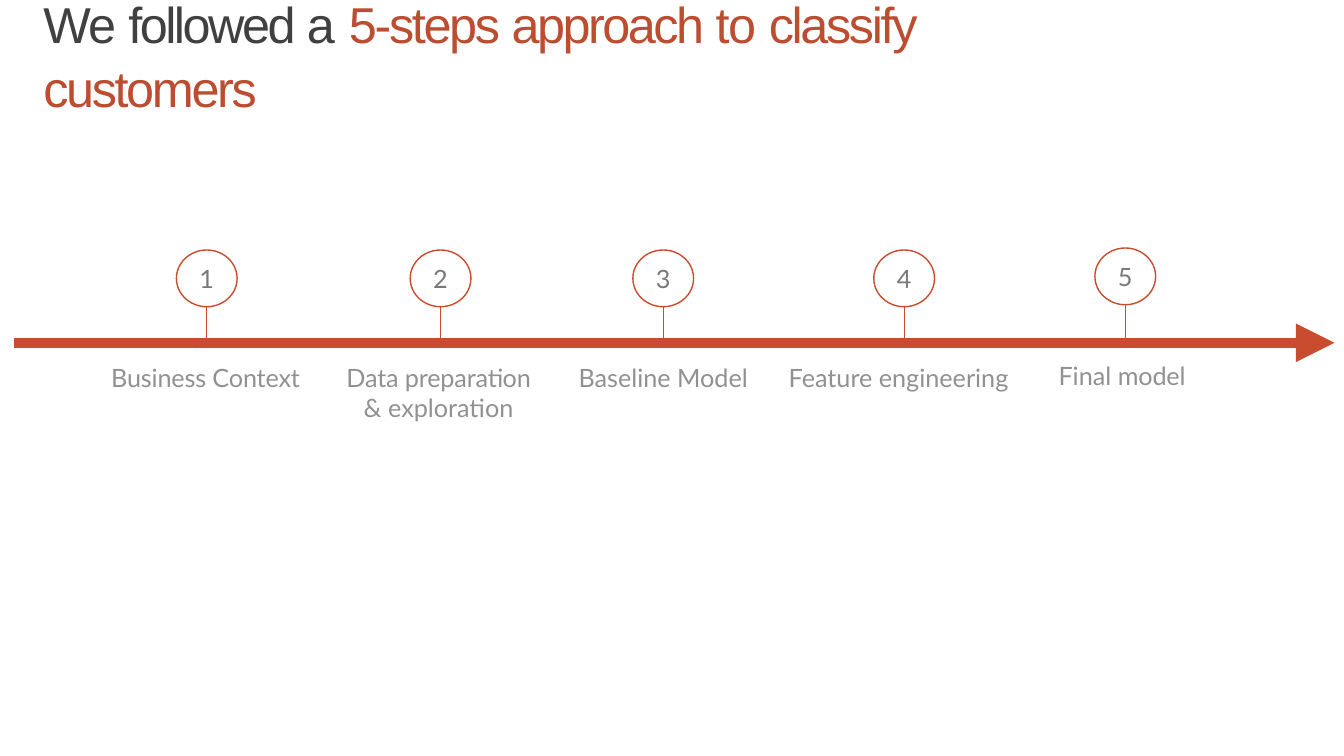
from lxml import etree
from pptx import Presentation
from pptx.dml.color import RGBColor
from pptx.enum.shapes import MSO_CONNECTOR, MSO_SHAPE
from pptx.enum.text import MSO_ANCHOR, MSO_AUTO_SIZE, PP_ALIGN
from pptx.oxml.ns import qn
from pptx.util import Cm, Pt

STRAIGHT = MSO_CONNECTOR.STRAIGHT
OVAL = MSO_SHAPE.OVAL
TRIANGLE = MSO_SHAPE.ISOSCELES_TRIANGLE
MIDDLE = MSO_ANCHOR.MIDDLE
TOP = MSO_ANCHOR.TOP
GROW = MSO_AUTO_SIZE.SHAPE_TO_FIT_TEXT
LEFT = PP_ALIGN.LEFT
CENTER = PP_ALIGN.CENTER

COLORS = {
    "accent": "C84C2D",
    "title": "404040",
    "highlight": "BD4D31",
    "number": "797979",
    "label": "919191",
    "white": "FFFFFF",
}

TITLE_SPANS = [
    ("We ", "title", -1.3),
    ("followed ", "title", -1.8),
    ("a ", "title", 0),
    ("5-steps ", "highlight", -1.7),
    ("approach ", "highlight", -1.8),
    ("to ", "highlight", -1),
    ("classify customers", "highlight", -1.7),
]

STEPS = [
    (5.21, 5.18, 4.9, 0, [("Business Context", -0.1)]),
    (11.1, 11.05, 4.9, 0, [("Data preparation ", -0.1), ("& exploration", 0)]),
    (16.71, 16.71, 4.9, 0, [("Baseline Model", 0)]),
    (22.78, 22.64, 5.8, 0, [("Feature engineering", 0)]),
    (28.35, 28.27, 4.9, 0.05, [("Final ", 0), ("model", -0.1)]),
]

AXIS_Y = 8.64
CIRCLE_TOP = 6.3
CIRCLE_WIDTH = 1.53
CIRCLE_HEIGHT = 1.43
LABEL_TOP = 9.12
HEAD_SIZE = 0.97


def color(name):
    return RGBColor.from_string(COLORS[name])


class TimelineSlide:
    body_font = "Lato"
    title_font = "Arial"
    body_size = 18
    title_size = 36

    def __init__(self, deck):
        self.page = deck.slides.add_slide(deck.slide_layouts[5])

    def prepare(self, frame, anchor):
        frame.margin_left = frame.margin_right = 0
        frame.margin_top = frame.margin_bottom = 0
        frame.word_wrap = True
        frame.vertical_anchor = anchor
        return frame.paragraphs[0]

    def span(self, para, text, font, size, color_name, spacing=0):
        span = para.add_run()
        span.text = text
        span.font.name = font
        span.font.size = Pt(size)
        span.font.color.rgb = color(color_name)
        if spacing:
            span.font._element.set("spc", str(round(spacing * 100)))

    def title(self, spans):
        box = self.page.shapes.title
        box.left, box.top = Cm(1.09), Cm(0.56)
        box.width, box.height = Cm(27.5), Cm(1.6)
        para = self.prepare(box.text_frame, MIDDLE)
        box.text_frame.auto_size = GROW
        para.alignment = LEFT
        para.line_spacing = 1.05
        for text, color_name, spacing in spans:
            self.span(para, text, self.title_font, self.title_size, color_name, spacing)

    def line(self, x1, y1, x2, y2, width):
        line = self.page.shapes.add_connector(STRAIGHT, Cm(x1), Cm(y1), Cm(x2), Cm(y2))
        line.line.color.rgb = color("accent")
        line.line.width = Pt(width)
        etree.SubElement(line._element.spPr, qn("a:effectLst"))

    def shape(self, kind, left, top, width, height, fill):
        shape = self.page.shapes.add_shape(kind, Cm(left), Cm(top), Cm(width), Cm(height))
        shape.shadow.inherit = False
        shape.fill.solid()
        shape.fill.fore_color.rgb = color(fill)
        return shape

    def arrowhead(self, left, middle):
        head = self.shape(TRIANGLE, left, middle - HEAD_SIZE / 2, HEAD_SIZE, HEAD_SIZE, "accent")
        head.rotation = 90
        head.line.fill.background()

    def circle(self, center, top, number):
        circle = self.shape(OVAL, center - CIRCLE_WIDTH / 2, top, CIRCLE_WIDTH, CIRCLE_HEIGHT, "white")
        circle.line.color.rgb = color("accent")
        circle.line.width = Pt(1)
        para = self.prepare(circle.text_frame, MIDDLE)
        para.alignment = CENTER
        self.span(para, str(number), self.body_font, self.body_size, "number")

    def label(self, center, top, width, spans):
        box = self.page.shapes.add_textbox(Cm(center - width / 2), Cm(top), Cm(width), Cm(0.84))
        para = self.prepare(box.text_frame, TOP)
        para.alignment = CENTER
        for text, spacing in spans:
            self.span(para, text, self.body_font, self.body_size, "label", spacing)

    def step(self, number, center, label_center, label_width, lift, spans):
        circle_top = CIRCLE_TOP - lift
        self.line(center, circle_top + CIRCLE_HEIGHT, center, AXIS_Y, 1)
        self.circle(center, circle_top, number)
        self.label(label_center, LABEL_TOP - lift, label_width, spans)


def main():
    deck = Presentation()
    deck.slide_width = Cm(33.86)
    deck.slide_height = Cm(19.05)
    slide = TimelineSlide(deck)
    slide.title(TITLE_SPANS)
    slide.line(0.36, AXIS_Y, 32.77, AXIS_Y, 7)
    slide.arrowhead(32.65, AXIS_Y)
    for number, step in enumerate(STEPS, 1):
        slide.step(number, *step)
    deck.save("out.pptx")


if __name__ == "__main__":
    main()
